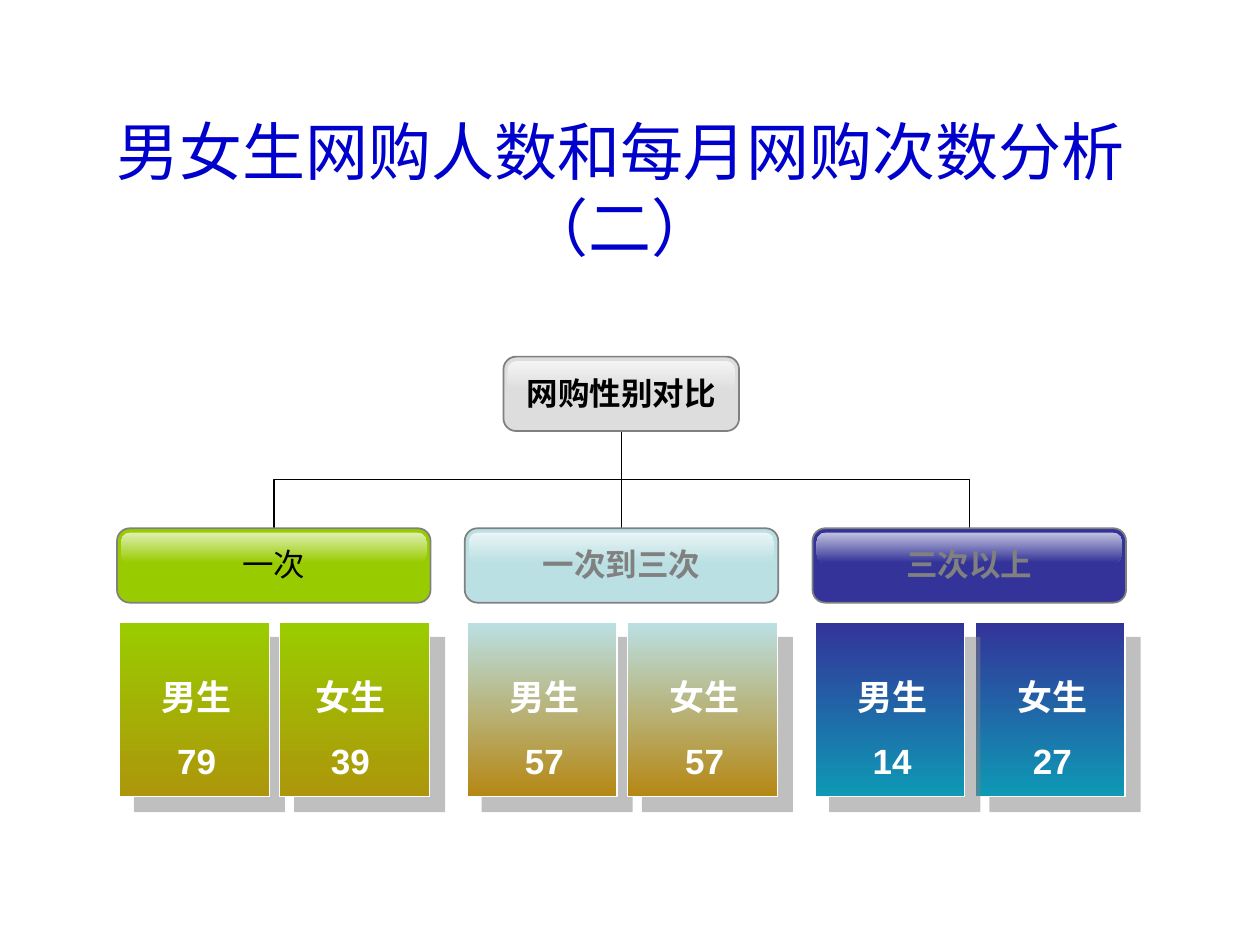
from dataclasses import dataclass
from lxml.etree import SubElement as Sub
from pptx import Presentation
from pptx.dml.color import RGBColor
from pptx.enum.shapes import MSO_CONNECTOR as Link, MSO_SHAPE as Kind
from pptx.enum.text import MSO_ANCHOR as Anchor, PP_ALIGN as Align
from pptx.oxml import parse_xml
from pptx.oxml.ns import nsdecls, qn
from pptx.util import Cm, Pt


def rgb(code):
    return RGBColor.from_string(code)


def cast(dist, code, alpha):
    return parse_xml(
        f'<a:effectLst {nsdecls("a")}><a:outerShdw dist="{Pt(dist)}" dir="2700000" '
        f'algn="ctr" rotWithShape="0"><a:srgbClr val="{code}">'
        f'<a:alpha val="{alpha * 1000}"/></a:srgbClr></a:outerShdw></a:effectLst>')


@dataclass
class Chart:
    slide: object
    face: str = "Arial"
    edge: str = "808080"
    ink: str = "000000"

    def words(self, para, text, size, code, bold=False, shade=True):
        para.alignment = Align.CENTER
        run = para.add_run()
        run.text = text
        style = {"name": self.face, "size": Pt(size), "bold": bold}
        for key, val in style.items():
            setattr(run.font, key, val)
        run.font.color.rgb = rgb(code)
        if shade:
            fill = run.font._element.find(qn("a:solidFill"))
            fill.addnext(cast(2, "C0C0C0", 100))

    def title(self, text):
        head = self.slide.shapes.title
        place = {"left": Cm(1.07), "top": Cm(2.74),
                 "width": Cm(22.86), "height": Cm(2.11)}
        for key, val in place.items():
            setattr(head, key, val)
        head.text_frame.vertical_anchor = Anchor.MIDDLE
        head.text_frame.word_wrap = True
        self.words(head.text_frame.paragraphs[0], text, 36, "0000CC", shade=False)

    def text(self, x, y, w, h, lines, size, code, bold=True):
        frame = self.slide.shapes.add_textbox(Cm(x), Cm(y), Cm(w), Cm(h)).text_frame
        frame.word_wrap = True
        for i, line in enumerate(lines):
            para = frame.add_paragraph() if i else frame.paragraphs[0]
            if i:
                para.space_before = Pt(12.5)
            self.words(para, line, size, code, bold)

    def shape(self, kind, x, y, w, h, hues, line=None, wide=1, alpha=None):
        item = self.slide.shapes.add_shape(kind, Cm(x), Cm(y), Cm(w), Cm(h))
        item.shadow.inherit = False
        if len(hues) == 1:
            item.fill.solid()
            item.fill.fore_color.rgb = rgb(hues[0])
        else:
            item.fill.gradient()
            item.fill.gradient_angle = 270
            for stop, pos, hue in zip(item.fill.gradient_stops, (0, 1), hues):
                stop.position = pos
                stop.color.rgb = rgb(hue)
        if alpha:
            for tint in item._element.spPr.iter(qn("a:srgbClr")):
                Sub(tint, qn("a:alpha"), val=str(alpha * 1000))
        if line:
            item.line.color.rgb = rgb(line)
            item.line.width = Pt(wide)
        else:
            item.line.fill.background()
        return item

    def button(self, x, y, w, hue, label, code, bold=True):
        base = self.shape(Kind.ROUNDED_RECTANGLE, x, y, w, 1.5, [hue], self.edge)
        base.adjustments[0] = 0.17
        gloss = self.shape(Kind.ROUNDED_RECTANGLE, x + 0.09, y + 0.09, w - 0.18, 0.61,
                           ["FFFFFF", hue], alpha=70)
        gloss.adjustments[0] = 0.28
        self.text(x, y + 0.22, w, 1.02, [label], 18, code, bold)

    def card(self, x, y, hues):
        item = self.shape(Kind.RECTANGLE, x, y, 3.02, 3.51, hues, "FFFFFF", 0.75)
        props = item._element.spPr
        props.replace(props.find(qn("a:effectLst")), cast(12.1, "808080", 50))

    def link(self, x, y, top_x, top_y):
        mid_x, mid_y = (x + top_x) / 2, (y + top_y) / 2
        tall, wide = (y - top_y) / 2, abs(x - top_x) / 2
        side = 1 if x <= top_x else -1
        line = self.slide.shapes.add_connector(
            Link.ELBOW, Cm(mid_x + side * tall), Cm(mid_y + wide),
            Cm(mid_x - side * tall), Cm(mid_y - wide))
        props = line._element.spPr
        props.xfrm.set("rot", "5400000" if side == 1 else "16200000")
        line.line.color.rgb = rgb(self.ink)
        line.line.width = Pt(0.75)
        Sub(props, qn("a:effectLst"))


def main():
    deck = Presentation()
    deck.slide_width, deck.slide_height = Cm(25.4), Cm(19.05)
    chart = Chart(deck.slides.add_slide(deck.slide_layouts[5]))
    chart.title("男女生网购人数和每月网购次数分析（二）")

    left, pitch, wide, row = 2.36, 7.01, 6.32, 10.65
    root_x, root_y, root_w = 10.15, 7.19, 4.75
    groups = [
        ("一次", "99CC00", "AD960B", "000000", False, (79, 39), 3.1, (0, 1)),
        ("一次到三次", "BBE0E3", "B58713", "808080", True, (57, 57), 3.23, (0, 1)),
        ("三次以上", "333399", "0E99B5", "808080", True, (14, 27), 3.23, (1, 0)),
    ]
    for i, (name, hue, end, code, bold, counts, step, order) in enumerate(groups):
        x = left + i * pitch
        chart.link(x + wide / 2, row, root_x + root_w / 2, root_y + 1.5)
        chart.button(x, row, wide, hue, name, code, bold)
        for j in order:
            chart.card(x + 0.05 + j * 3.23, 12.55, [hue, end])
        for j, (sex, count) in enumerate(zip(("男生", "女生"), counts)):
            chart.text(x - 0.21 + j * step, 13.49, 3.63, 2.39,
                       [sex, str(count)], 20, "FFFFFF")
    chart.button(root_x, root_y, root_w, "DDDDDD", "网购性别对比", "000000")
    deck.save("out.pptx")


if __name__ == "__main__":
    main()
